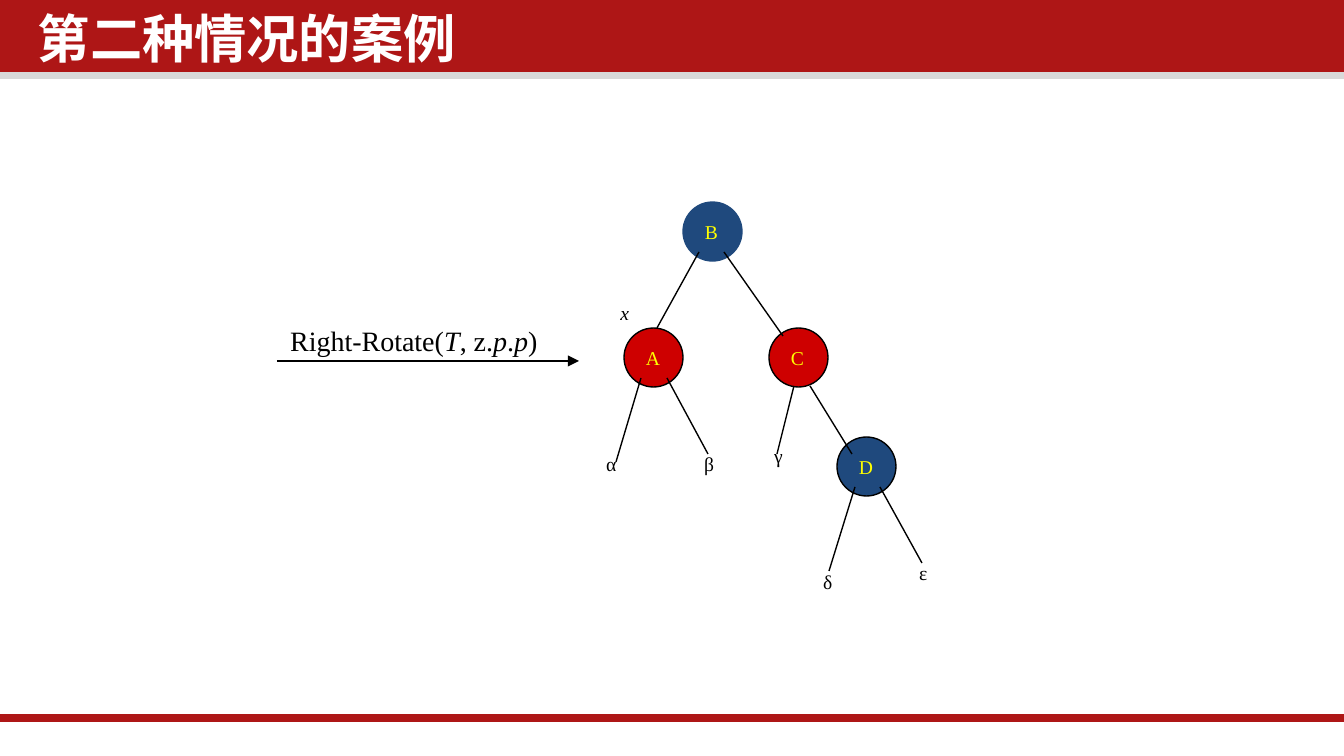
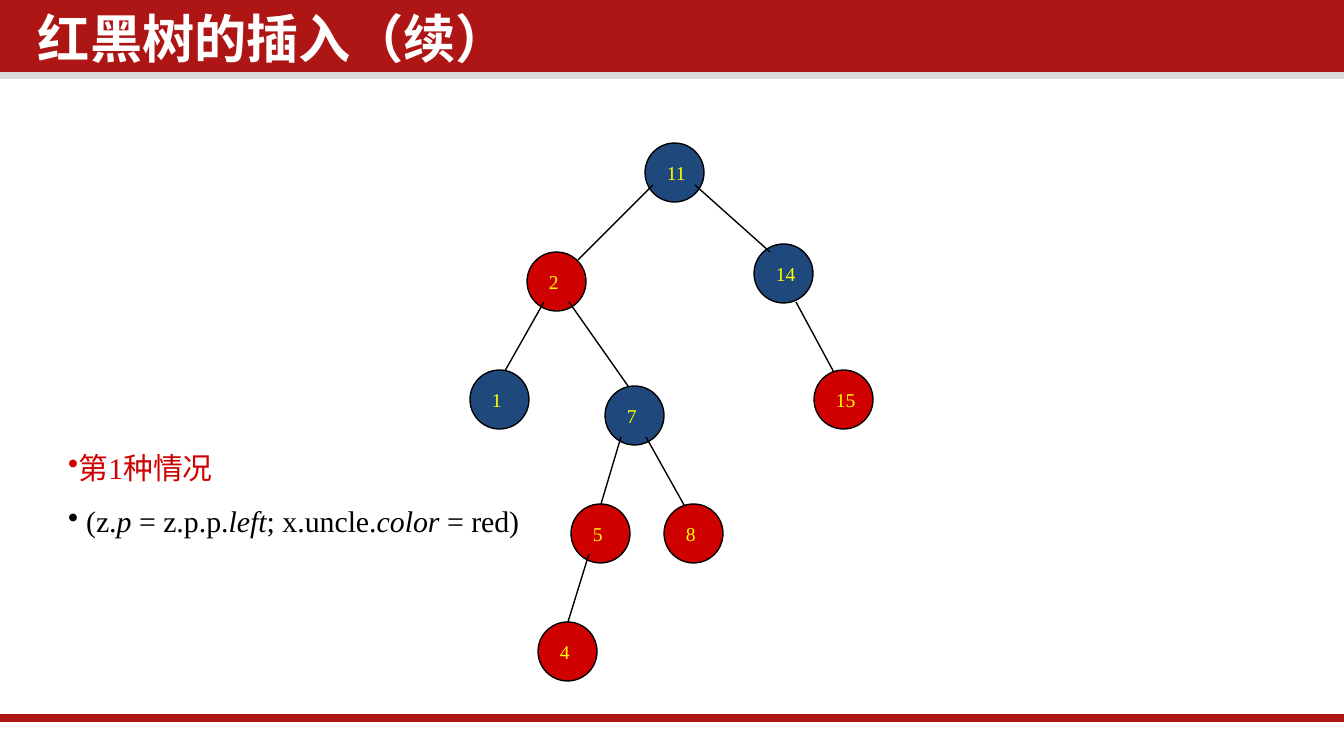
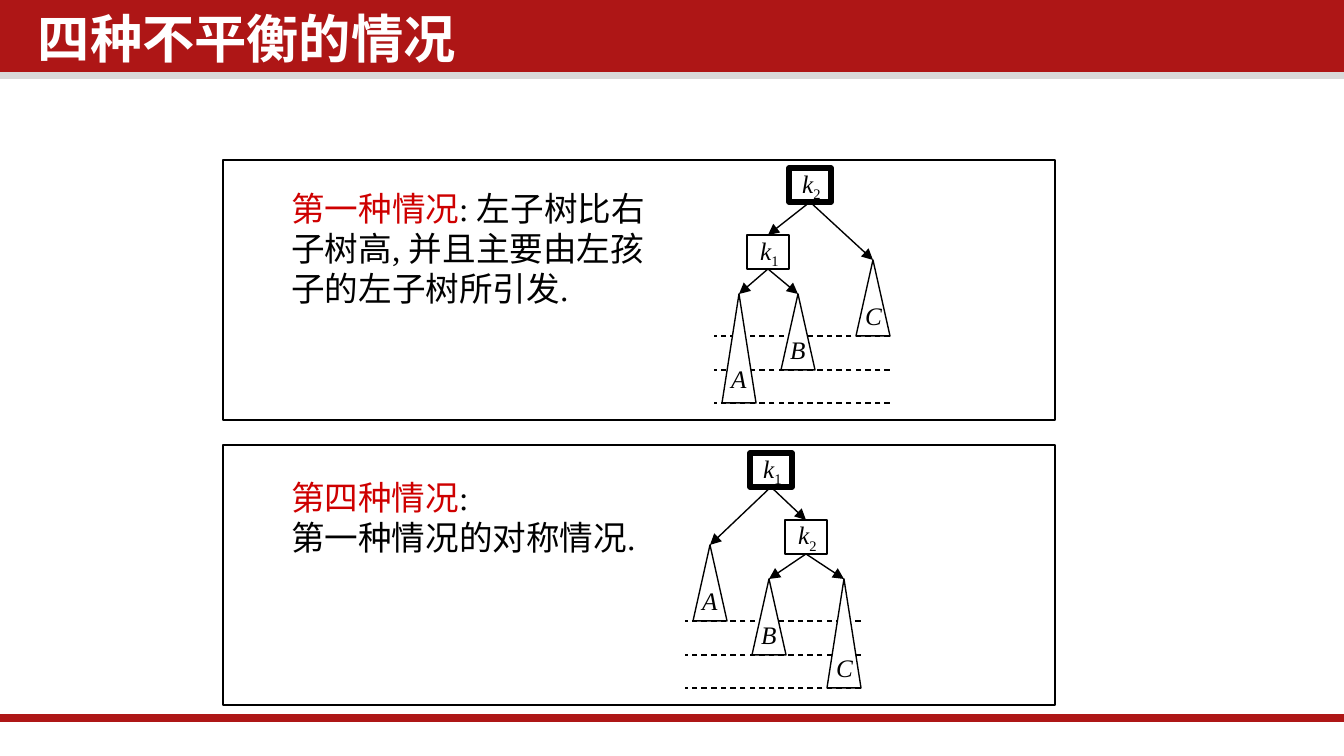
from dataclasses import dataclass

from lxml.etree import SubElement
from pptx import Presentation
from pptx.dml.color import RGBColor
from pptx.enum.dml import MSO_LINE
from pptx.enum.shapes import MSO_CONNECTOR, MSO_SHAPE
from pptx.enum.text import MSO_ANCHOR, MSO_AUTO_SIZE, PP_ALIGN
from pptx.oxml.ns import qn
from pptx.util import Pt

PAGE_WIDTH, PAGE_HEIGHT = 1344, 756
EMU_PER_PX = 914400 / 134.4
TOP, BOTTOM = 0, 2  # connection sites of a rectangle


@dataclass(frozen=True)
class Theme:
    band: str = "AE1616"
    band_edge: str = "D9D9D9"
    red: str = "CE0000"
    blue: str = "1F497D"
    node_text: str = "FFFF00"
    ink: str = "000000"
    paper: str = "FFFFFF"
    latin: str = "Times New Roman"
    chinese: str = "Noto Sans CJK SC"
    title_size: float = 28
    case_size: float = 18
    bullet_size: float = 16
    call_size: float = 15
    key_size: float = 13.5
    node_size: float = 10.5
    thin: float = 0.75
    thick: float = 3
    footer: float = 4


THEME = Theme()


def px(value):
    return round(value * EMU_PER_PX)


def apply_format(target, values):
    for name, value in values.items():
        setattr(target, name, value)


def span(text, color=THEME.ink, subscript=False, **font):
    return text, color, subscript, font


def add_spans(para, spans, size, name=THEME.latin):
    for text, color, subscript, font in spans:
        for index, piece in enumerate(text.split("\n")):
            if index:
                para.add_line_break()
            run = para.add_run()
            run.text = piece
            apply_format(run.font, {"size": Pt(size), "name": name, **font})
            run.font.color.rgb = RGBColor.from_string(color)
            properties = run.font._element
            SubElement(properties, qn("a:ea"), typeface=THEME.chinese)
            if subscript:
                properties.set("baseline", "-25000")


def write(box, paragraphs, size, bullet=None, para_format=None, frame_format=None,
          name=THEME.latin):
    """Fill a box with paragraphs, each a list of spans."""
    frame = box.text_frame
    apply_format(frame, {"word_wrap": False, **(frame_format or {})})
    for index, spans in enumerate(paragraphs):
        para = frame.add_paragraph() if index else frame.paragraphs[0]
        apply_format(para, {"alignment": PP_ALIGN.LEFT, **(para_format or {})})
        if bullet:
            SubElement(para._p.get_or_add_pPr(), qn("a:buChar"), char=bullet)
        add_spans(para, spans, size, name)


def add_label(page, bounds, paragraphs, size, wrap=False, **options):
    box = page.shapes.add_textbox(*map(px, bounds))
    frame_format = {"word_wrap": wrap, "auto_size": MSO_AUTO_SIZE.SHAPE_TO_FIT_TEXT,
                    "vertical_anchor": MSO_ANCHOR.TOP}
    write(box, paragraphs, size, frame_format=frame_format, **options)


def paint(shape, fill=None, line=None, width=THEME.thin):
    shape.shadow.inherit = False
    if fill:
        shape.fill.solid()
        shape.fill.fore_color.rgb = RGBColor.from_string(fill)
    else:
        shape.fill.background()
    if line:
        shape.line.color.rgb = RGBColor.from_string(line)
        shape.line.width = Pt(width)
    else:
        shape.line.fill.background()
    return shape


def add_box(page, kind, bounds, **style):
    return paint(page.shapes.add_shape(kind, *map(px, bounds)), **style)


def add_line(page, start, end, color=THEME.ink, width=THEME.thin, arrow=False, dash=None):
    line = page.shapes.add_connector(MSO_CONNECTOR.STRAIGHT, *map(px, (*start, *end)))
    line.line.color.rgb = RGBColor.from_string(color)
    apply_format(line.line, {"width": Pt(width), "dash_style": dash})
    if arrow:
        SubElement(line.line._get_or_add_ln(), qn("a:tailEnd"), type="triangle")
    SubElement(line._element.spPr, qn("a:effectLst"))
    return line


def add_node(page, text, left, top, fill, line=THEME.ink):
    node = add_box(page, MSO_SHAPE.OVAL, (left, top, 59, 59), fill=fill, line=line)
    write(node, [[span(text, THEME.node_text)]], THEME.node_size,
          frame_format={"vertical_anchor": MSO_ANCHOR.MIDDLE})


def add_key(page, digit, left, top, width):
    """Draw a tree node holding k with a subscript."""
    key = add_box(page, MSO_SHAPE.RECTANGLE, (left, top, 42, 34), line=THEME.ink, width=width)
    write(key, [[span("k", italic=True), span(digit, subscript=True)]], THEME.key_size,
          frame_format={"vertical_anchor": MSO_ANCHOR.MIDDLE})
    return key


def add_subtree(page, name, left, top, bottom, label_rise):
    """Draw a labelled triangle and return its apex."""
    apex = (left + 17, top)
    builder = page.shapes.build_freeform(px(left), px(bottom), scale=1.0)
    corners = [(left + 34, bottom), apex]
    builder.add_line_segments([(px(x), px(y)) for x, y in corners], close=True)
    paint(builder.convert_to_shape(), fill=THEME.paper, line=THEME.ink)
    add_label(page, (left - 4, bottom - label_rise, 42, 44), [[span(name, italic=True)]],
              THEME.key_size)
    return apex


def add_page(deck, title):
    page = deck.slides.add_slide(deck.slide_layouts[6])
    add_box(page, MSO_SHAPE.RECTANGLE, (0, 67, PAGE_WIDTH, 12), fill=THEME.band_edge)
    add_box(page, MSO_SHAPE.RECTANGLE, (0, 0, PAGE_WIDTH, 72), fill=THEME.band)
    add_line(page, (0, 718), (PAGE_WIDTH, 718), THEME.band, THEME.footer)
    box = page.shapes.add_textbox(*map(px, (28, 8, 1027, 79)))
    frame_format = {"word_wrap": True, "margin_left": px(10), "margin_right": px(10),
                    "margin_top": px(5), "margin_bottom": px(5)}
    write(box, [[span(title, THEME.paper, bold=True)]], THEME.title_size,
          para_format={"line_spacing": 0.9}, frame_format=frame_format, name=THEME.chinese)
    return page


def add_rotation_page(deck):
    page = add_page(deck, "第二种情况的案例")
    add_node(page, "A", 624, 328, THEME.red)
    add_node(page, "C", 769, 328, THEME.red)
    add_node(page, "B", 683, 202, THEME.blue, line=THEME.blue)
    add_node(page, "D", 837, 437, THEME.blue)
    edges = [
        ((699, 252), (657, 328)), ((724, 252), (783, 336)),
        ((880, 487), (922, 563)), ((855, 487), (829, 571)),
        ((667, 378), (708, 454)), ((641, 378), (616, 462)),
        ((810, 386), (852, 454)), ((794, 386), (777, 454)),
    ]
    for start, end in edges:
        add_line(page, start, end)
    leaves = [("α", 593, 445), ("β", 691, 445), ("γ", 761, 437), ("δ", 810, 563),
              ("ε", 906, 554)]
    for text, left, top in leaves:
        add_label(page, (left, top, 37, 38), [[span(text)]], THEME.node_size)
    add_label(page, (607, 294, 35, 38), [[span("x", italic=True)]], THEME.node_size)
    call = [span("Right-Rotate("), span("T", italic=True), span(", z."),
            span("p", italic=True), span("."), span("p", italic=True), span(")")]
    add_label(page, (277, 317, 277, 47), [call], THEME.call_size)
    add_line(page, (277, 361), (579, 361), arrow=True)


def add_insertion_page(deck):
    page = add_page(deck, "红黑树的插入（续）")
    upper_nodes = [("7", 605, 386, THEME.blue), ("11", 645, 143, THEME.blue),
                   ("2", 527, 252, THEME.red), ("14", 754, 244, THEME.blue),
                   ("5", 571, 504, THEME.red)]
    lower_nodes = [("1", 470, 370, THEME.blue), ("8", 664, 504, THEME.red),
                   ("15", 814, 370, THEME.red), ("4", 538, 622, THEME.red)]
    edges = [
        ((653, 185), (578, 260)), ((695, 185), (770, 252)),
        ((544, 302), (501, 378)), ((569, 302), (628, 386)),
        ((796, 302), (837, 378)), ((646, 437), (688, 512)),
        ((621, 437), (601, 504)), ((589, 554), (563, 638)),
    ]
    for node in upper_nodes:
        add_node(page, *node)
    for start, end in edges:
        add_line(page, start, end)
    for node in lower_nodes:
        add_node(page, *node)
    condition = [span(" (z."), span("p", italic=True), span(" = z.p.p."),
                 span("left", italic=True), span("; x.uncle."),
                 span("color", italic=True), span(" = red)")]
    add_label(page, (55, 425, 485, 116), [[span("第1种情况", THEME.red)], condition],
              THEME.bullet_size, bullet="•", para_format={"line_spacing": 1.5})


def add_case(page, top, text_bounds, text, heavy, light, levels_left, subtrees):
    """Draw a framed case: heavy and light are (digit, left); the outer subtree comes last."""
    add_label(page, text_bounds, [text], THEME.case_size, wrap=True)
    add_box(page, MSO_SHAPE.RECTANGLE, (223, top, 832, 260), line=THEME.ink)
    root = add_key(page, *heavy, top + 8, THEME.thick)
    child = add_key(page, *light, top + 75, THEME.thin)
    for level in (243, 210, 176):
        add_line(page, (levels_left + 176, top + level), (levels_left, top + level),
                 dash=MSO_LINE.DASH)
    apexes = [add_subtree(page, name, left, top + upper, top + lower, rise)
              for name, left, upper, lower, rise in subtrees]
    for parent, apex in zip((child, child, root), apexes):
        add_line(page, apex, apex, arrow=True).begin_connect(parent, BOTTOM)
    link = add_line(page, (0, 0), (1, 1), arrow=True)
    link.begin_connect(root, BOTTOM)
    link.end_connect(child, TOP)


def add_imbalance_page(deck):
    page = add_page(deck, "四种不平衡的情况")
    add_case(page, 160, (278, 181, 388, 136),
             [span("第一种情况", THEME.red),
              span(": 左子树比右子树高, 并且主要由左孩子的左子树所引发.")],
             ("2", 789), ("1", 747), 714,
             [("A", 722, 134, 243, 46), ("B", 781, 134, 210, 42), ("C", 856, 100, 176, 42)])
    add_case(page, 445, (278, 470, 380, 95),
             [span("第四种情况", THEME.red), span(":\n第一种情况的对称情况.")],
             ("1", 750), ("2", 785), 685,
             [("C", 827, 134, 243, 42), ("B", 752, 134, 210, 42), ("A", 693, 100, 176, 42)])


def main():
    deck = Presentation()
    apply_format(deck, {"slide_width": px(PAGE_WIDTH), "slide_height": px(PAGE_HEIGHT)})
    add_rotation_page(deck)
    add_insertion_page(deck)
    add_imbalance_page(deck)
    deck.save("out.pptx")


if __name__ == "__main__":
    main()
